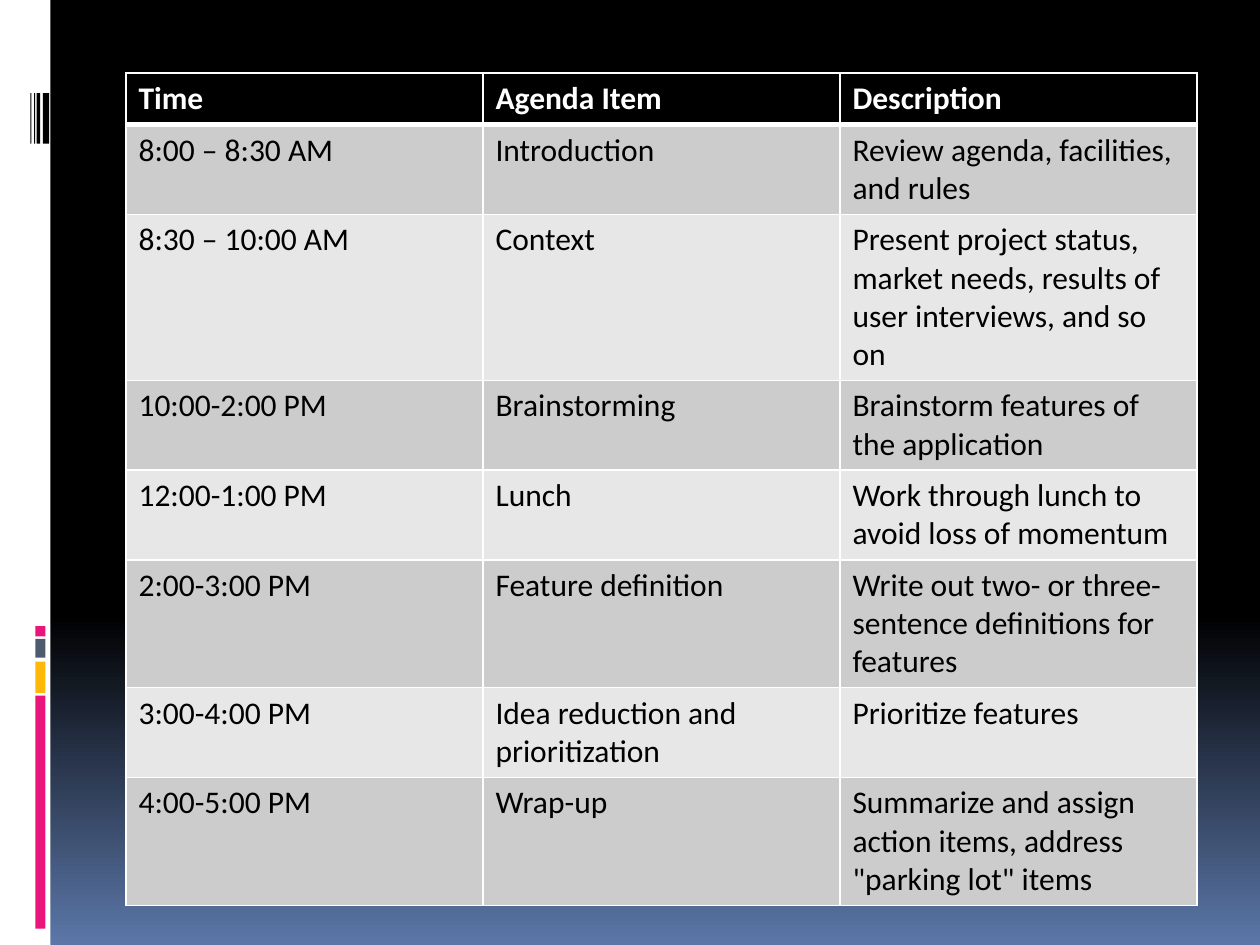
from copy import deepcopy
from dataclasses import dataclass

from lxml import etree
from pptx import Presentation
from pptx.dml.color import RGBColor
from pptx.enum.shapes import MSO_SHAPE
from pptx.oxml.ns import qn
from pptx.util import Inches, Pt

RECTANGLE = MSO_SHAPE.RECTANGLE
BLANK_LAYOUT = 6


@dataclass(frozen=True)
class Theme:
    font: str = "Calibri"
    text_size: int = 18
    black: str = "000000"
    white: str = "FFFFFF"
    pink: str = "EA157A"
    amber: str = "FEB80A"
    slate: str = "4E5B6F"
    sky: str = "5B77A8"
    bands: tuple = ("CCCCCC", "E7E7E7")
    rule: int = 1
    header_rule: int = 3


class SlideBuilder:
    def __init__(self, slide, theme):
        self.slide = slide
        self.theme = theme

    def background(self, stops):
        fill = self.slide.background.fill
        fill.gradient()
        fill.gradient_angle = 270
        stop_list = next(self.slide.element.iter(qn("a:gsLst")))
        while len(stop_list) < len(stops):
            stop_list.append(deepcopy(stop_list[0]))
        for stop, (position, color) in zip(fill.gradient_stops, stops):
            stop.position = position
            stop.color.rgb = RGBColor.from_string(color)

    def bar(self, left, top, width, height, color):
        bar = self.slide.shapes.add_shape(
            RECTANGLE, Inches(left), Inches(top), Inches(width), Inches(height))
        bar.shadow.inherit = False
        bar.fill.solid()
        bar.fill.fore_color.rgb = RGBColor.from_string(color)
        bar.line.fill.background()

    def border(self, cell, sides):
        properties = cell._tc.get_or_add_tcPr()
        for index, (side, width) in enumerate(sides.items()):
            line = etree.Element(qn(f"a:{side}"), w=str(Pt(width)))
            solid = etree.SubElement(line, qn("a:solidFill"))
            etree.SubElement(solid, qn("a:srgbClr"), val=self.theme.white)
            properties.insert(index, line)

    def cell(self, cell, text, fill, sides, **font_format):
        cell.text = text
        cell.fill.solid()
        cell.fill.fore_color.rgb = RGBColor.from_string(fill)
        font = cell.text_frame.paragraphs[0].runs[0].font
        color = font_format.pop("color")
        font_format |= {"name": self.theme.font, "size": Pt(self.theme.text_size)}
        for attribute, value in font_format.items():
            setattr(font, attribute, value)
        font.color.rgb = RGBColor.from_string(color)
        self.border(cell, sides)

    def table(self, left, top, width, height, row_height, rows):
        theme = self.theme
        frame = self.slide.shapes.add_table(
            len(rows), len(rows[0]),
            Inches(left), Inches(top), Inches(width), Inches(height))
        table = frame.table
        for row in table.rows:
            row.height = Inches(row_height)
        frame.height = Inches(height)
        for r, texts in enumerate(rows):
            header = r == 0
            fill = theme.black if header else theme.bands[(r - 1) % 2]
            sides = {
                "lnL": theme.rule,
                "lnR": theme.rule,
                "lnT": theme.header_rule if r == 1 else theme.rule,
                "lnB": theme.header_rule if header else theme.rule,
            }
            for c, text in enumerate(texts):
                self.cell(table.cell(r, c), text, fill, sides, bold=header,
                          color=theme.white if header else theme.black)


AGENDA = [
    ("Time", "Agenda Item", "Description"),
    ("8:00 – 8:30 AM", "Introduction", "Review agenda, facilities, and rules"),
    ("8:30 – 10:00 AM", "Context",
     "Present project status, market needs, results of user interviews, and so on"),
    ("10:00-2:00 PM", "Brainstorming", "Brainstorm features of the application"),
    ("12:00-1:00 PM", "Lunch", "Work through lunch to avoid loss of momentum"),
    ("2:00-3:00 PM", "Feature definition",
     "Write out two- or three-sentence definitions for features"),
    ("3:00-4:00 PM", "Idea reduction and prioritization", "Prioritize features"),
    ("4:00-5:00 PM", "Wrap-up",
     'Summarize and assign action items, address "parking lot" items'),
]


def main():
    theme = Theme()
    presentation = Presentation()
    presentation.slide_width = Inches(10)
    presentation.slide_height = Inches(7.5)
    slide = presentation.slides.add_slide(presentation.slide_layouts[BLANK_LAYOUT])
    builder = SlideBuilder(slide, theme)

    builder.background([(0, theme.black), (0.65, theme.black), (1, theme.sky)])
    builder.bar(0, 0, 0.4, 7.5, theme.white)
    for top, height, color in [
        (5.52, 1.85, theme.pink),
        (5.25, 0.25, theme.amber),
        (5.07, 0.15, theme.slate),
        (4.97, 0.08, theme.pink),
    ]:
        builder.bar(0.28, top, 0.08, height, color)
    for left, width in [(0.34, 0.05), (0.29, 0.03), (0.27, 0.01), (0.24, 0.01)]:
        builder.bar(left, 0.74, width, 0.4, theme.black)
    builder.table(1, 0.58, 8.5, 6.51, 0.41, AGENDA)

    presentation.save("out.pptx")


if __name__ == "__main__":
    main()
